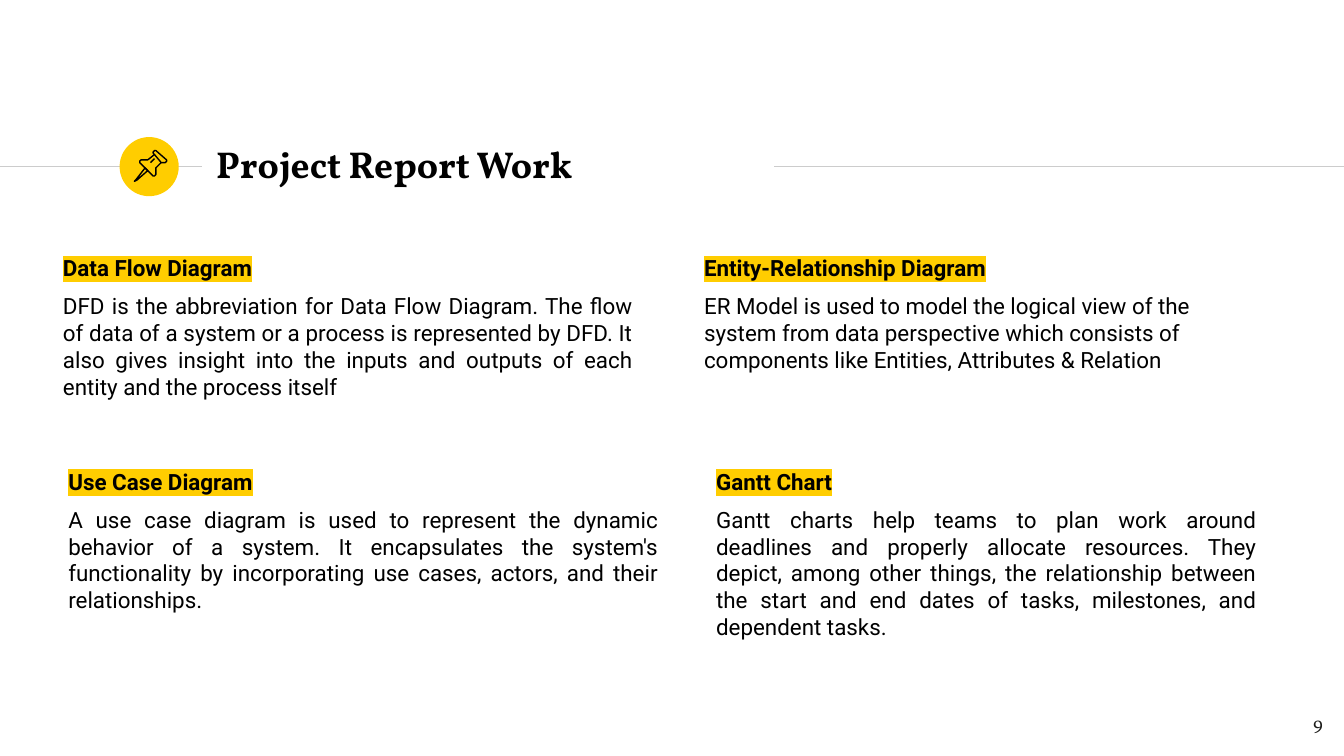
from dataclasses import dataclass

from lxml import etree
from pptx import Presentation
from pptx.dml.color import RGBColor
from pptx.enum.shapes import MSO_CONNECTOR, MSO_SHAPE
from pptx.enum.text import MSO_ANCHOR, PP_ALIGN
from pptx.oxml.ns import qn
from pptx.util import Inches, Pt

STRAIGHT = MSO_CONNECTOR.STRAIGHT
OVAL = MSO_SHAPE.OVAL
TOP, MIDDLE = MSO_ANCHOR.TOP, MSO_ANCHOR.MIDDLE
LEFT, RIGHT, JUSTIFY = PP_ALIGN.LEFT, PP_ALIGN.RIGHT, PP_ALIGN.JUSTIFY
PAGE_WIDTH = 10
PAGE_HEIGHT = PAGE_WIDTH * 9 / 16


@dataclass(frozen=True)
class Theme:
    accent: str = "FFCD00"
    text: str = "000000"
    number: str = "1D1D1B"
    rule: str = "CCCCCC"
    heading_font: str = "Vollkorn"
    body_font: str = "Roboto"
    title_size: int = 20
    body_size: int = 12
    number_size: int = 10
    line_width: float = 0.75
    paragraph_gap: int = 6


THEME = Theme()

# Pin outlines in hundredths of an inch from the badge corner: points, closed
PIN_OUTLINES = [
    ([(19, 23), (12, 32), (11, 33), (13, 32), (21, 25)], True),
    ([(26, 13), (31, 19), (32, 19), (34, 19), (35, 18), (35, 17),
      (27, 10), (26, 10), (25, 11), (25, 12)], True),
    ([(26, 13), (21, 17), (19, 17), (17, 17), (16, 17), (15, 18), (15, 19),
      (25, 29), (26, 29), (27, 28), (27, 25), (27, 23), (31, 19)], False),
    ([(23, 19), (26, 16)], False),
]

# Box, heading, description, alignment of the description
TOPICS = [
    ((0.37, 1.79, 4.44, 1.32), "Data Flow Diagram",
     "DFD is the abbreviation for Data Flow Diagram. The flow of data of a "
     "system or a process is represented by DFD. It also gives insight into "
     "the inputs and outputs of each entity and the process itself", JUSTIFY),
    ((5.14, 1.79, 4.31, 1.32), "Entity-Relationship Diagram",
     "ER Model is used to model the logical view of the system from data "
     "perspective which consists of components like Entities, Attributes & "
     "Relation", LEFT),
    ((0.41, 3.38, 4.59, 1.32), "Use Case Diagram",
     "A use case diagram is used to represent the dynamic behavior of a "
     "system. It encapsulates the system's functionality by incorporating "
     "use cases, actors, and their relationships. ", JUSTIFY),
    ((5.23, 3.38, 4.22, 1.32), "Gantt Chart",
     "Gantt charts help teams to plan work around deadlines and properly "
     "allocate resources. They depict, among other things, the relationship "
     "between the start and end dates of tasks, milestones, and dependent "
     "tasks.", JUSTIFY),
]


def rgb(value):
    return RGBColor.from_string(value)


def add_text_frame(page, box, anchor=TOP):
    frame = page.shapes.add_textbox(*map(Inches, box)).text_frame
    frame.word_wrap = True
    frame.vertical_anchor = anchor
    frame.margin_left = frame.margin_right = Inches(0.1)
    frame.margin_top = frame.margin_bottom = Inches(0.1)
    return frame


def write_paragraph(para, text, font, size, color, bold=False, align=LEFT):
    para.alignment = align
    para.font.name = font
    para.font.size = Pt(size)
    para.font.bold = bold
    para.font.color.rgb = rgb(color)
    span = para.add_run()
    span.text = text
    return span


def highlight(span, color):
    mark = etree.SubElement(span.font._element, qn("a:highlight"))
    etree.SubElement(mark, qn("a:srgbClr"), val=color)


def add_rule(page, start, end, y):
    rule = page.shapes.add_connector(
        STRAIGHT, Inches(start), Inches(y), Inches(end), Inches(y))
    rule.line.color.rgb = rgb(THEME.rule)
    rule.line.width = Pt(THEME.line_width)
    etree.SubElement(rule._element.spPr, qn("a:effectLst"))


def add_pin_badge(page, box):
    left, top, width, height = map(Inches, box)
    circle = page.shapes.add_shape(OVAL, left, top, width, height)
    circle.shadow.inherit = False
    circle.fill.solid()
    circle.fill.fore_color.rgb = rgb(THEME.accent)
    circle.line.fill.background()
    for points, closed in PIN_OUTLINES:
        builder = page.shapes.build_freeform(*points[0], scale=Inches(0.01))
        builder.add_line_segments(points[1:], close=closed)
        outline = builder.convert_to_shape(left, top)
        outline.shadow.inherit = False
        outline.fill.background()
        outline.line.color.rgb = rgb(THEME.text)
        outline.line.width = Pt(THEME.line_width)


def add_header(page, box, title):
    """Place the title between two rules, with the badge on the left one."""
    left, top, width, height = box
    rule_y = top + 0.26
    add_rule(page, 0, left - 0.01, rule_y)
    add_rule(page, left + width + 0.01, PAGE_WIDTH, rule_y)
    add_pin_badge(page, (left - 0.62, rule_y - 0.22, 0.44, 0.44))
    frame = add_text_frame(page, box, MIDDLE)
    write_paragraph(frame.paragraphs[0], title, THEME.heading_font,
                    THEME.title_size, THEME.text, bold=True)


def add_topic(page, box, heading, description, align):
    frame = add_text_frame(page, box)
    first, second = frame.paragraphs[0], frame.add_paragraph()
    style = THEME.body_font, THEME.body_size, THEME.text
    highlight(write_paragraph(first, heading, *style, bold=True), THEME.accent)
    write_paragraph(second, description, *style, align=align)
    for para in (first, second):
        para.space_before = Pt(THEME.paragraph_gap)


def add_page_number(page, box, number):
    frame = add_text_frame(page, box)
    write_paragraph(frame.paragraphs[0], number, THEME.heading_font,
                    THEME.number_size, THEME.number, align=RIGHT)


def main():
    deck = Presentation()
    deck.slide_width = Inches(PAGE_WIDTH)
    deck.slide_height = Inches(PAGE_HEIGHT)
    page = deck.slides.add_slide(deck.slide_layouts[6])
    add_header(page, (1.51, 0.98, 4.24, 0.48), "Project Report Work")
    for topic in TOPICS:
        add_topic(page, *topic)
    add_page_number(page, (9.34, 5.21, 0.6, 0.43), "9")
    deck.save("out.pptx")


if __name__ == "__main__":
    main()
